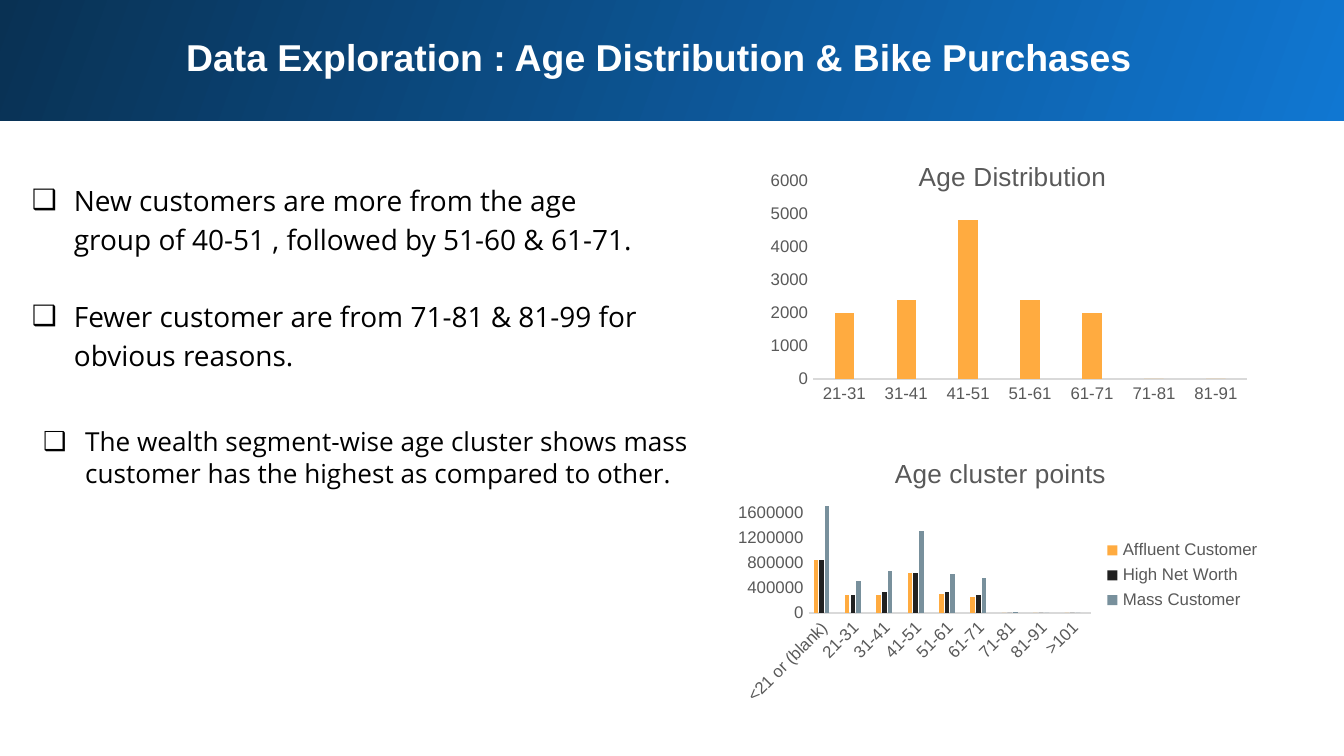
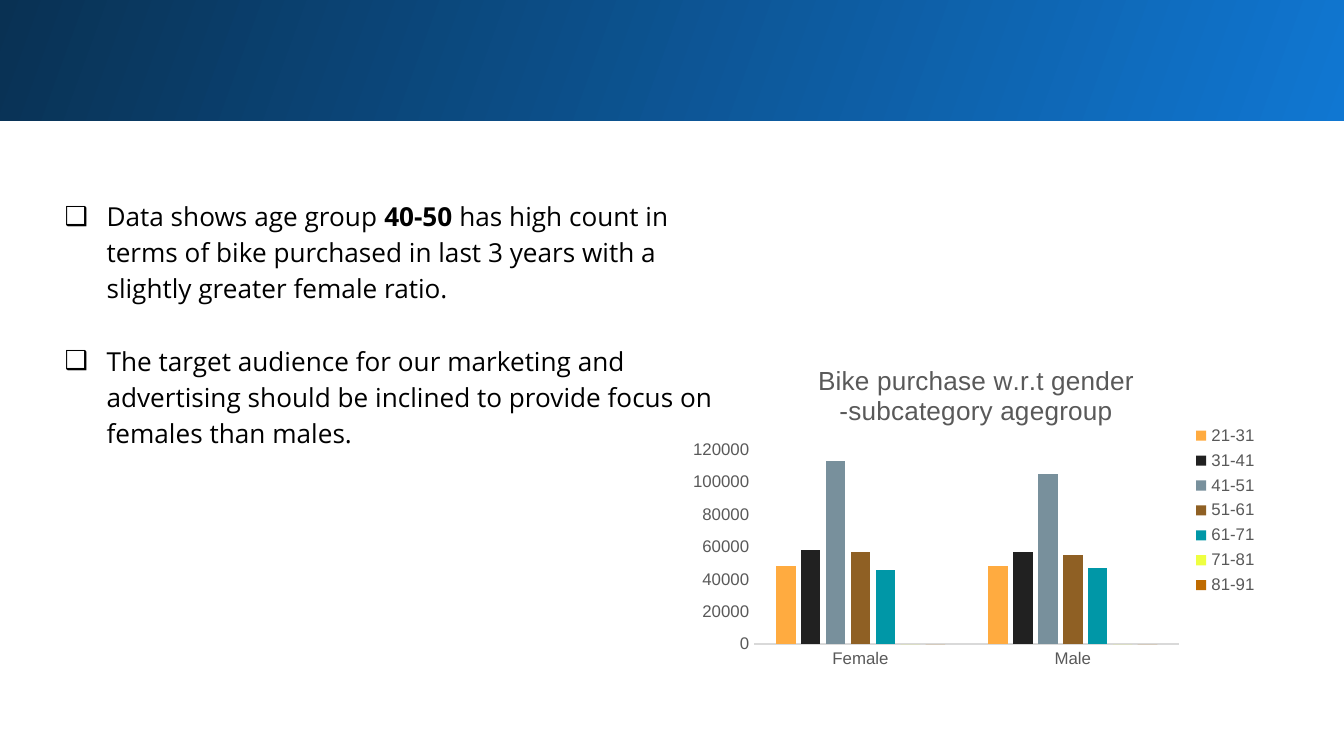
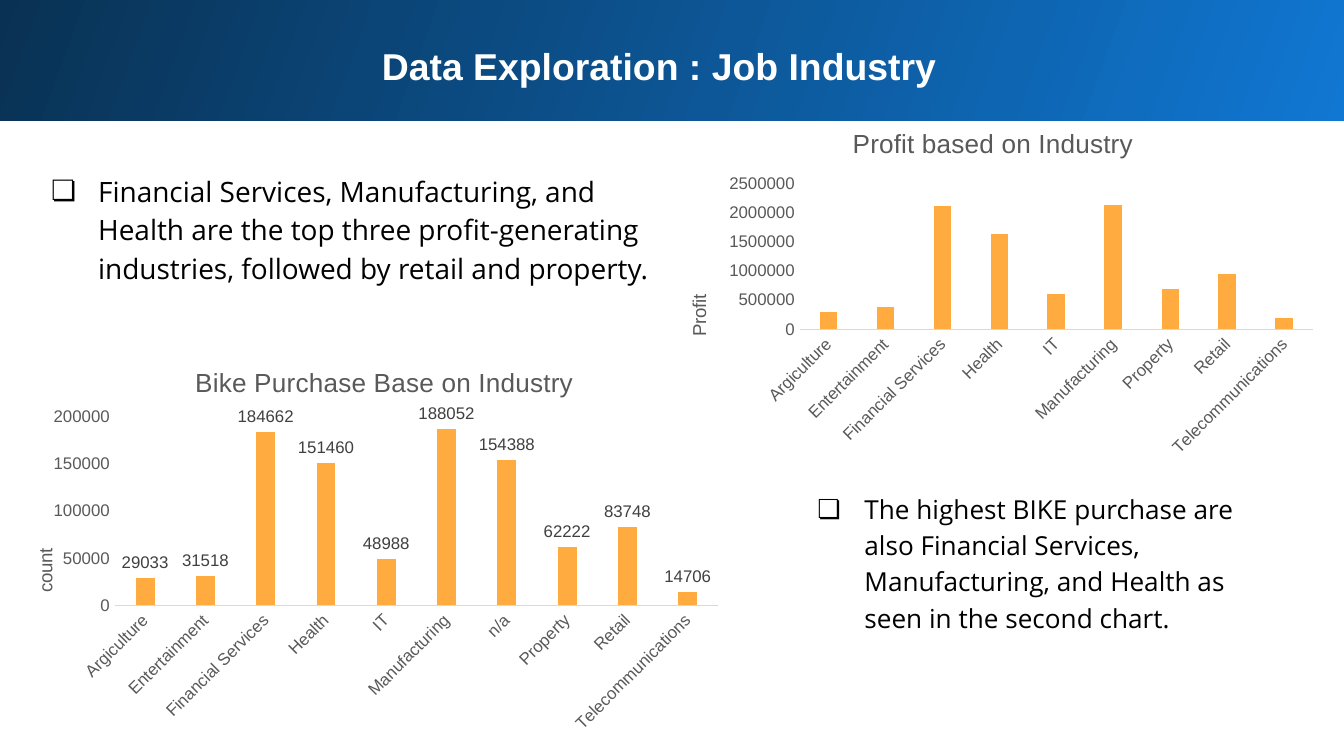
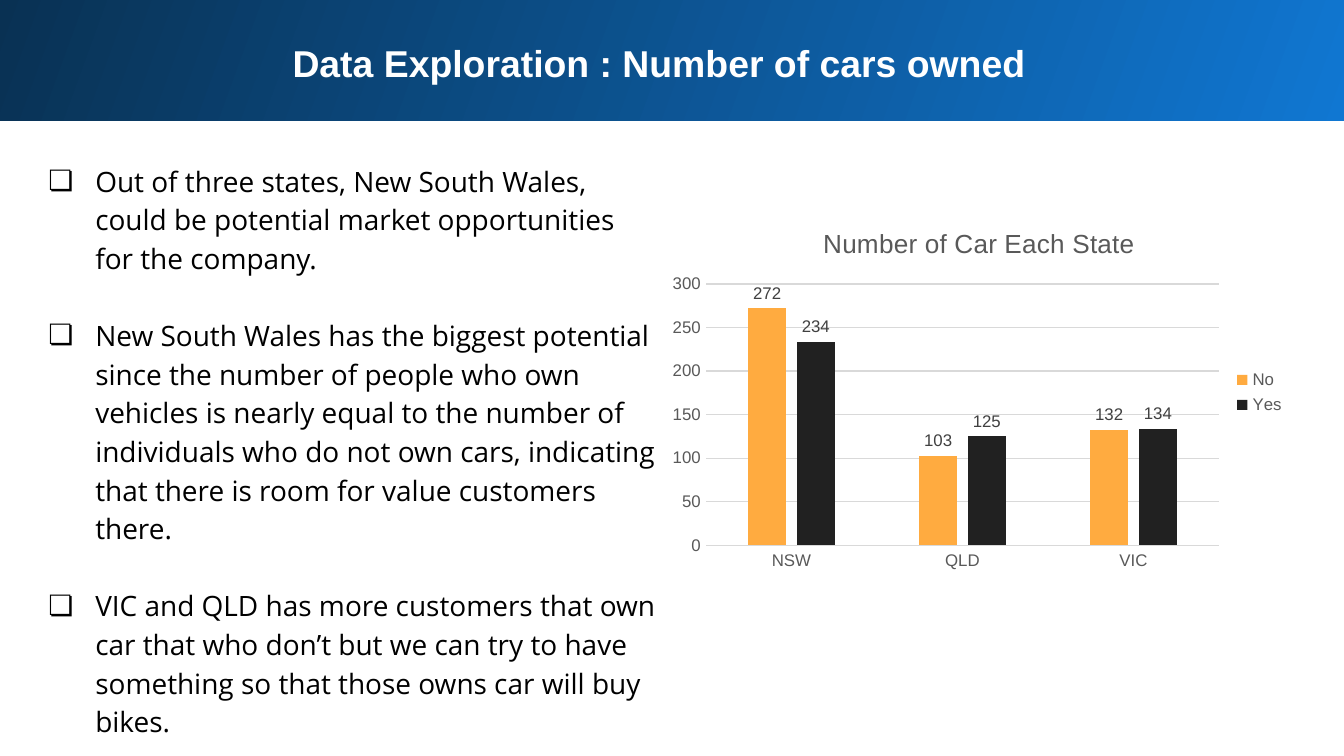
from pptx import Presentation
from pptx.chart.data import CategoryChartData
from pptx.dml.color import RGBColor
from pptx.enum.chart import XL_CHART_TYPE, XL_LABEL_POSITION, XL_LEGEND_POSITION, XL_TICK_MARK
from pptx.enum.shapes import MSO_SHAPE
from pptx.enum.text import MSO_ANCHOR, MSO_AUTO_SIZE, PP_ALIGN
from pptx.oxml import parse_xml
from pptx.oxml.ns import nsdecls
from pptx.util import Pt

COLUMN = XL_CHART_TYPE.COLUMN_CLUSTERED
OUTER = XL_LABEL_POSITION.OUTSIDE_END
RIGHT = XL_LEGEND_POSITION.RIGHT
NO_TICK = XL_TICK_MARK.NONE
RECT = MSO_SHAPE.RECTANGLE
TOP = MSO_ANCHOR.TOP
GROW = MSO_AUTO_SIZE.SHAPE_TO_FIT_TEXT
FIXED = MSO_AUTO_SIZE.NONE
CENTER = PP_ALIGN.CENTER

BLACK = RGBColor(0x00, 0x00, 0x00)
WHITE = RGBColor(0xFF, 0xFF, 0xFF)
BLUE = RGBColor(0x10, 0x77, 0xD2)
NAVY = RGBColor(0x09, 0x31, 0x53)
GREY = RGBColor(0x59, 0x59, 0x59)
DARK = RGBColor(0x40, 0x40, 0x40)
PALE = RGBColor(0xD9, 0xD9, 0xD9)
HUES = [
    RGBColor(0xFF, 0xAB, 0x40),
    RGBColor(0x21, 0x21, 0x21),
    RGBColor(0x78, 0x90, 0x9C),
    RGBColor(0x8F, 0x60, 0x24),
    RGBColor(0x00, 0x97, 0xA7),
    RGBColor(0xEE, 0xFF, 0x41),
    RGBColor(0xBF, 0x6B, 0x00),
]
HEAD = "Arial"
BODY = "Open Sans"
BOX = ("❑", 22.5, 22.5)
SHADE = ("❏", 36, 25.2)


def add_note(slide, place, size, mark, texts, lead=1.15):
    shape = slide.shapes.add_textbox(*map(Pt, place))
    frame = shape.text_frame
    frame.word_wrap = True
    if size == 14:
        frame.auto_size = GROW
    else:
        frame.margin_top = frame.margin_bottom = Pt(7.2)
    sign, left, hang = mark
    for i, text in enumerate(texts):
        para = frame.add_paragraph() if i else frame.paragraphs[0]
        para.line_spacing = lead
        if i:
            para.space_before = Pt(round(size * 1.38, 1))
        props = para._p.get_or_add_pPr()
        props.set("marL", str(Pt(left)))
        props.set("indent", str(-Pt(hang)))
        for item in (
            f'<a:buClr {nsdecls("a")}><a:srgbClr val="{BLACK}"/></a:buClr>',
            f'<a:buFont {nsdecls("a")} typeface="{HEAD}"/>',
            f'<a:buChar {nsdecls("a")} char="{sign}"/>',
        ):
            props.append(parse_xml(item))
        para.font.size = Pt(size)
        para.font.name = BODY
        para.font.color.rgb = BLACK
        for k, part in enumerate(text.split("|")):
            run = para.add_run()
            run.text = part
            if k % 2:
                run.font.bold = True


def add_graph(slide, place, title, cats, rows, top, step,
              legend=False, labels=False, unit=None, grid=False, inner=None):
    data = CategoryChartData()
    data.categories = cats
    for name, vals in rows:
        data.add_series(name, vals)
    chart = slide.shapes.add_chart(COLUMN, *map(Pt, place), data).chart
    fonts = [(chart.font, 10, BLACK)]

    chart.has_title = True
    para = chart.chart_title.text_frame.paragraphs[0]
    para.text = title
    para.font.bold = False
    fonts.append((para.font, 14, GREY))

    plot = chart.plots[0]
    plot.gap_width = 219
    plot.overlap = -27
    plot.vary_by_categories = False
    for series, hue in zip(plot.series, HUES):
        series.format.fill.solid()
        series.format.fill.fore_color.rgb = hue
        series.invert_if_negative = False
    if labels:
        plot.has_data_labels = True
        plot.data_labels.show_value = True
        plot.data_labels.position = OUTER
        fonts.append((plot.data_labels.font, 9, DARK))

    base, scale = chart.category_axis, chart.value_axis
    for axis in (base, scale):
        axis.major_tick_mark = axis.minor_tick_mark = NO_TICK
        fonts.append((axis.tick_labels.font, 9, GREY))
    base.format.line.color.rgb = PALE
    base.format.line.width = Pt(0.75)
    scale.format.line.fill.background()
    scale.minimum_scale = 0
    scale.maximum_scale = top
    scale.major_unit = step
    scale.has_major_gridlines = grid
    if grid:
        scale.major_gridlines.format.line.color.rgb = PALE
        scale.major_gridlines.format.line.width = Pt(0.75)
    if unit:
        scale.has_title = True
        para = scale.axis_title.text_frame.paragraphs[0]
        para.text = unit
        para.font.bold = False
        fonts.append((para.font, 10, GREY))

    chart.has_legend = legend
    if legend:
        chart.legend.position = RIGHT
        chart.legend.include_in_layout = False
        fonts.append((chart.legend.font, 9, GREY))

    for font, size, color in fonts:
        font.size = Pt(size)
        font.name = HEAD
        font.color.rgb = color
    if len(cats) > 7:
        body = chart.element.xpath(".//c:catAx/c:txPr/a:bodyPr")[0]
        body.set("rot", "-2700000")
        body.set("vert", "horz")
    if inner:
        spots = "".join(f'<c:{tag} val="{val}"/>' for tag, val in zip("xywh", inner))
        chart.element.xpath(".//c:plotArea")[0].insert(0, parse_xml(
            f'<c:layout {nsdecls("c")}><c:manualLayout><c:layoutTarget val="inner"/>'
            f'<c:xMode val="edge"/><c:yMode val="edge"/>{spots}</c:manualLayout></c:layout>'))
    return chart


deck = Presentation()
deck.slide_width = Pt(720)
deck.slide_height = Pt(405)

heads = [
    ("Data Exploration : Age Distribution & Bike Purchases", 11, 41),
    None,
    ("Data Exploration : Job Industry", 16, 50.5),
    ("Data Exploration : Number of cars owned", 14.5, 66),
]
for head in heads:
    slide = deck.slides.add_slide(deck.slide_layouts[5 if head else 6])
    band = slide.shapes.add_shape(RECT, Pt(-1.5), Pt(-1.5), Pt(723.5), Pt(66.25))
    band.shadow.inherit = False
    band.line.fill.background()
    band.fill.gradient()
    band.fill.gradient_angle = 160
    for stop, hue in zip(band.fill.gradient_stops, (BLUE, NAVY)):
        stop.color.rgb = hue
    slide.shapes.element.insert(2, band.element)
    if head:
        text, top, high = head
        title = slide.shapes.title
        title.left, title.top, title.width, title.height = map(Pt, (16, top, 674.5, high))
        frame = title.text_frame
        frame.text = text
        frame.vertical_anchor = TOP
        frame.auto_size = FIXED
        frame.word_wrap = True
        frame.margin_top = frame.margin_bottom = Pt(7.2)
        para = frame.paragraphs[0]
        para.alignment = CENTER
        para.font.size = Pt(20)
        para.font.name = HEAD
        para.font.bold = True
        para.font.color.rgb = WHITE

ages, sexes, jobs, cars = deck.slides
bands = ["21-31", "31-41", "41-51", "51-61", "61-71", "71-81", "81-91"]

add_note(ages, (10, 88.5, 350, 313), 15, BOX, [
    "New customers are more from the age group of 40-51 , followed by 51-60 & 61-71.",
    "Fewer customer are from 71-81 & 81-99 for obvious reasons.",
])
add_graph(ages, (409, 76.5, 267, 145.5), "Age Distribution", bands,
          [("Series 1", [2000, 2400, 4800, 2400, 2000, 0, 0])],
          6000, 1000, inner=(0.1, 0.14, 0.87, 0.73))
add_note(ages, (16, 224.5, 361.5, 41), 14, BOX, [
    "The wealth segment-wise age cluster shows mass customer has the highest as compared to other.",
], lead=1.0)
wealth = add_graph(
    ages, (389.5, 235.5, 293, 145.5), "Age cluster points",
    ["<21 or (blank)", *bands, ">101"],
    [
        ("Affluent Customer", [850000, 280000, 290000, 640000, 300000, 260000, 0, 0, 0]),
        ("High Net Worth", [850000, 290000, 330000, 640000, 330000, 290000, 0, 0, 0]),
        ("Mass Customer", [1700000, 500000, 670000, 1310000, 620000, 560000, 10000, 0, 0]),
        ("Series 4", [None] * 9),
    ],
    1700000, 400000, legend=True)
wealth.element.xpath(".//c:legend/c:legendPos")[0].addnext(parse_xml(
    f'<c:legendEntry {nsdecls("c")}><c:idx val="3"/><c:delete val="1"/></c:legendEntry>'))

add_note(sexes, (27.5, 101.5, 361.5, 162), 14, BOX, [
    "Data shows age group |40-50| has high count in terms of bike purchased "
    "in last 3 years with a slightly greater female ratio.",
    "The target audience for our marketing and advertising should be inclined "
    "to provide focus on females than males.",
])
counts = [(48000, 48000), (58000, 57000), (113000, 105000), (57000, 55000),
          (46000, 47000), (0, 0), (0, 0)]
add_graph(sexes, (365, 185, 316, 177), "Bike purchase w.r.t gender -subcategory agegroup",
          ["Female", "Male"], list(zip(bands, counts)), 120000, 20000, legend=True)

fields = ["Argiculture", "Entertainment", "Financial Services", "Health", "IT",
          "Manufacturing", "Property", "Retail", "Telecommunications"]
add_note(jobs, (9.5, 83.5, 350.5, 83.5), 15, SHADE, [
    "Financial Services, Manufacturing, and Health are the top three "
    "profit-generating industries, followed by retail and property.",
])
add_graph(jobs, (353.5, 57.5, 357, 191.5), "Profit based on Industry", fields,
          [("Series 1", [300000, 380000, 2110000, 1630000, 600000,
                         2130000, 690000, 960000, 190000])],
          2500000, 500000, unit="Profit")
add_graph(jobs, (16, 185, 380, 214.5), "Bike Purchase Base on Industry",
          fields[:6] + ["n/a"] + fields[6:],
          [("Series 1", [29033, 31518, 184662, 151460, 48988,
                         188052, 154388, 62222, 83748, 14706])],
          200000, 50000, labels=True, unit="count", inner=(0.12, 0.18, 0.85, 0.47))
add_note(jobs, (420, 258.5, 257, 84), 14, SHADE, [
    "The highest BIKE purchase are also Financial Services, Manufacturing, "
    "and Health as seen in the second chart.",
])

add_note(cars, (8, 78, 352, 312), 15, SHADE, [
    "Out of three states, New South Wales, could be potential market "
    "opportunities for the company.",
    "New South Wales has the biggest potential since the number of people who own "
    "vehicles is nearly equal to the number of individuals who do not own cars, "
    "indicating that there is room for value customers there.",
    "VIC and QLD has more customers that own car that who don’t but we can try "
    "to have something so that those owns car will buy bikes.",
])
add_graph(cars, (353.5, 111, 342, 198.5), "Number of Car Each State",
          ["NSW", "QLD", "VIC"],
          [("No", [272, 103, 132]), ("Yes", [234, 125, 134])],
          300, 50, legend=True, labels=True, grid=True)

deck.save("out.pptx")
